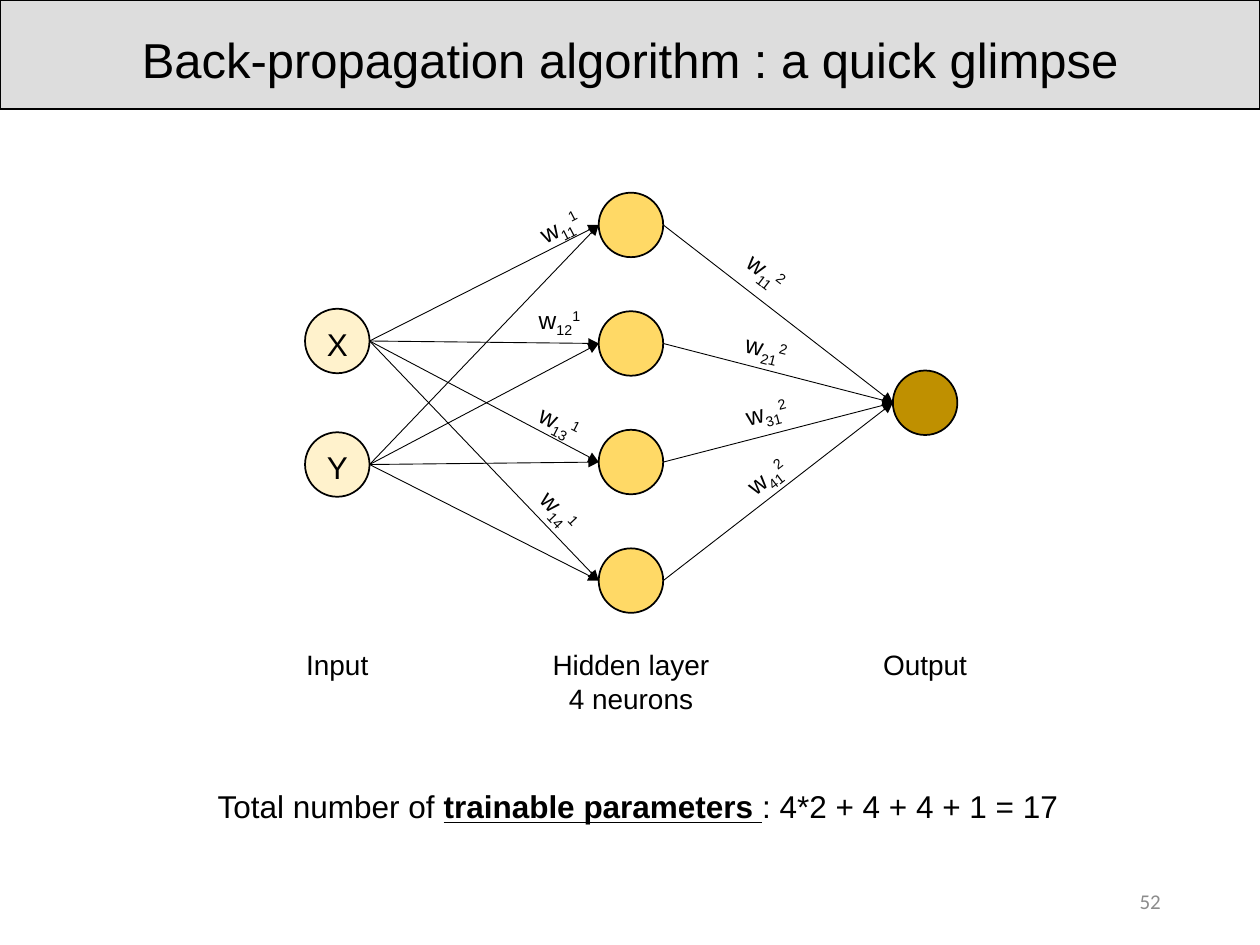
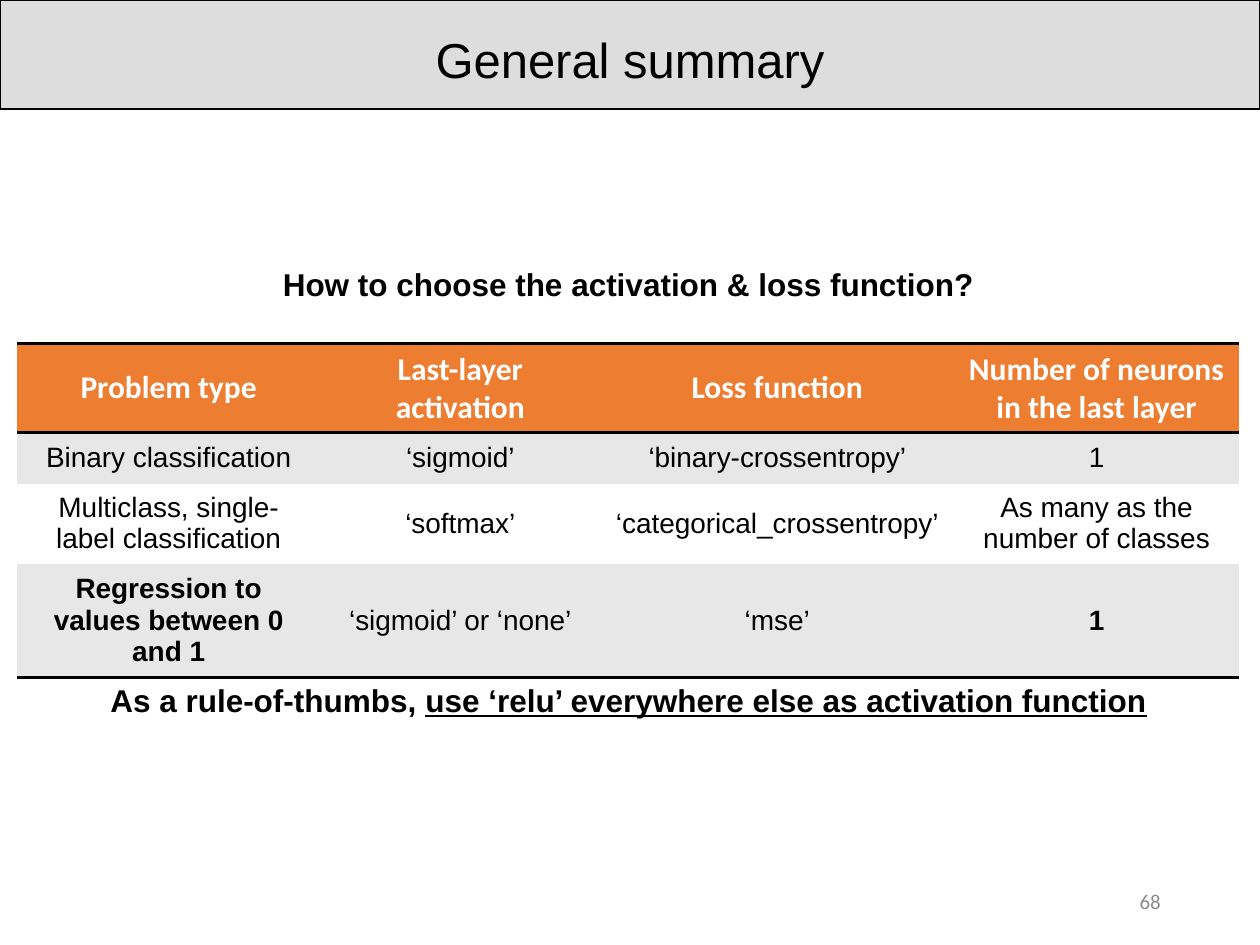
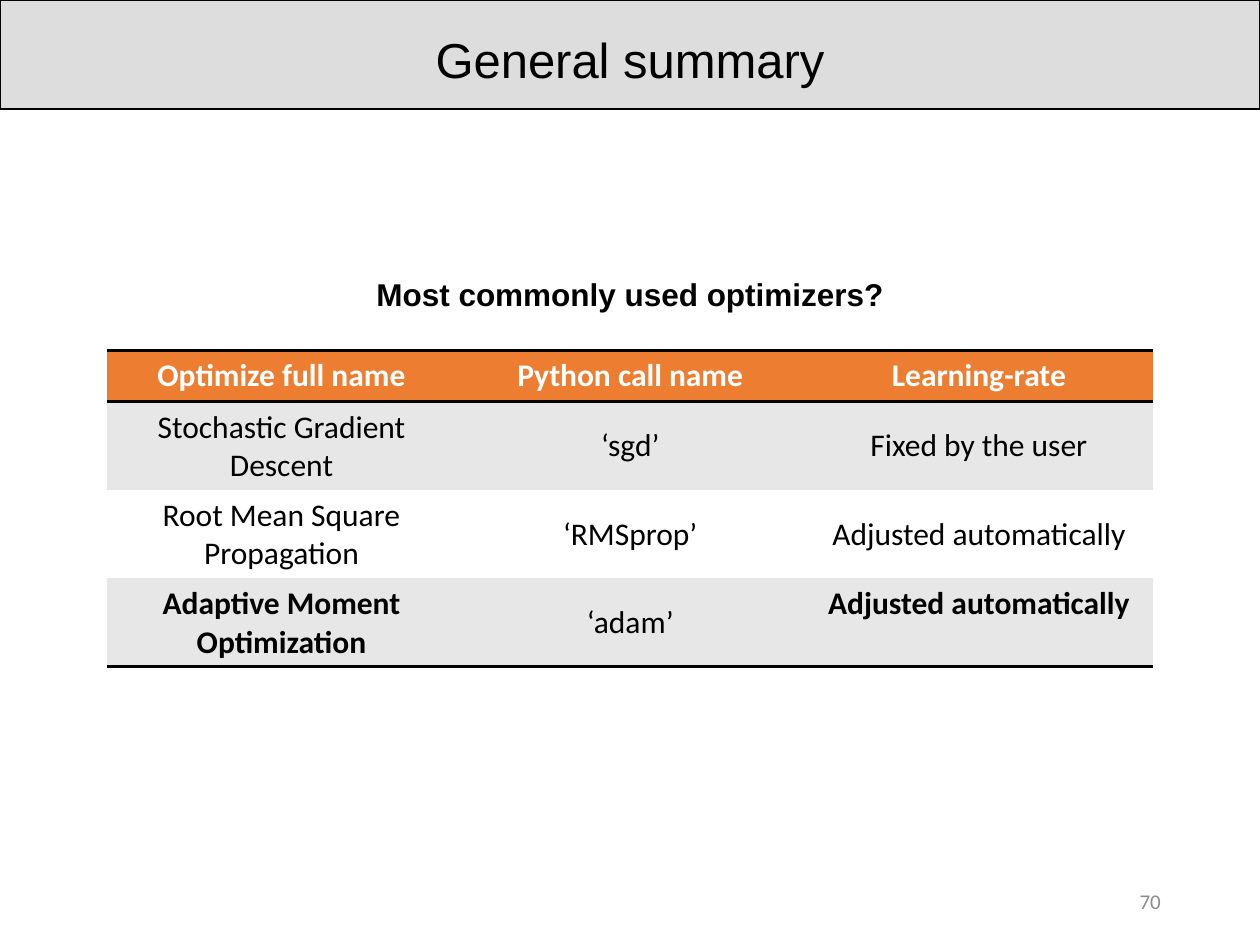
from dataclasses import dataclass
from itertools import product
from typing import NamedTuple

from lxml import etree
from pptx import Presentation
from pptx.dml.color import RGBColor
from pptx.enum.shapes import MSO_CONNECTOR, MSO_SHAPE
from pptx.enum.text import MSO_ANCHOR, PP_ALIGN
from pptx.oxml import parse_xml
from pptx.oxml.ns import nsdecls, qn
from pptx.util import Cm, Pt

BLACK = RGBColor(0x00, 0x00, 0x00)
WHITE = RGBColor(0xFF, 0xFF, 0xFF)
GREY = RGBColor(0x8C, 0x8C, 0x8C)
BAND = RGBColor(0xDD, 0xDD, 0xDD)
ORANGE = RGBColor(0xED, 0x7D, 0x31)
STRIPE = RGBColor(0xE7, 0xE7, 0xE7)
CREAM = RGBColor(0xFF, 0xF2, 0xCC)
YELLOW = RGBColor(0xFF, 0xD9, 0x66)
BROWN = RGBColor(0xBF, 0x90, 0x00)

LEFT, CENTER, RIGHT = PP_ALIGN.LEFT, PP_ALIGN.CENTER, PP_ALIGN.RIGHT
TOP, MIDDLE = MSO_ANCHOR.TOP, MSO_ANCHOR.MIDDLE
RECT, OVAL = MSO_SHAPE.RECTANGLE, MSO_SHAPE.OVAL
STRAIGHT = MSO_CONNECTOR.STRAIGHT

WIDTH, HEIGHT = 25.4, 19.05
NODE = 1.3
MID = 8.12


class Box(NamedTuple):
    """A place on the slide, in centimetres."""
    x: float
    y: float
    w: float
    h: float


class Part(NamedTuple):
    """A stretch of text; base is its shift in thousandths of a percent."""
    text: str
    bold: bool = False
    under: bool = False
    base: int = 0


@dataclass
class Layer:
    title: str
    x: float
    gap: float
    color: RGBColor
    names: list[str]

    def spots(self) -> list[float]:
        """Heights of the node centres, spread evenly around MID."""
        half = (len(self.names) - 1) / 2
        return [MID + self.gap * (i - half) for i in range(len(self.names))]


class Weight(NamedTuple):
    sub: str
    sup: str
    x: float
    y: float
    turn: float


@dataclass
class Grid:
    x: float
    y: float
    cols: list[float]
    rows: list[float]
    cells: list[list[str]]
    font: str
    size: int
    top_end: bool = False


LAYERS = [
    Layer("Input", 6.8, 2.49, CREAM, ["X", "Y"]),
    Layer("Hidden layer\n4 neurons", 12.72, 2.39, YELLOW, [""] * 4),
    Layer("Output", 18.65, 0, BROWN, [""]),
]

WEIGHTS = [
    Weight("11", "1", 10.44, 4.14, -27.4),
    Weight("12", "1", 10.44, 6.02, 0),
    Weight("13", "1", 10.44, 8.08, 27),
    Weight("14", "1", 10.44, 9.86, 46.6),
    Weight("11", "2", 14.61, 5.05, 37.8),
    Weight("21", "2", 14.61, 6.6, 14),
    Weight("31", "2", 14.61, 7.87, -15),
    Weight("41", "2", 14.61, 9.17, -37.4),
]

LOSSES = Grid(
    0.35, 6.93, [6.1, 5.66, 7.12, 5.75], [1.78, 1.04, 1.61, 2.29],
    [
        ["Problem type", "Last-layer activation", "Loss function",
         "Number of neurons in the last layer"],
        ["Binary classification", "‘sigmoid’", "‘binary-crossentropy’", "1"],
        ["Multiclass, single-label classification", "‘softmax’",
         "‘categorical_crossentropy’", "As many as the number of classes"],
        ["Regression to values between 0 and 1", "‘sigmoid’ or ‘none’",
         "‘mse’", "1"],
    ],
    "Arial", 16)

METHODS = Grid(
    2.16, 7.06, [7.03] * 3, [1.04] + [1.78] * 3,
    [
        ["Optimize full name", "Python call name", "Learning-rate"],
        ["Stochastic Gradient Descent", "‘sgd’", "Fixed by the user"],
        ["Root Mean Square Propagation", "‘RMSprop’",
         "Adjusted automatically"],
        ["Adaptive Moment Optimization", "‘adam’", "Adjusted automatically"],
    ],
    "Calibri", 18, top_end=True)


def style(para, size: int, color=BLACK, font="Arial", align=CENTER) -> None:
    para.alignment = align
    for run in para.runs:
        run.font.size = Pt(size)
        run.font.name = font
        run.font.color.rgb = color


def write(slide, box: Box, parts: list[Part], size: int, color=BLACK,
          font="Arial", align=CENTER, anchor=TOP, wrap=True):
    shape = slide.shapes.add_textbox(*map(Cm, box))
    frame = shape.text_frame
    frame.word_wrap = wrap
    frame.vertical_anchor = anchor
    para = frame.paragraphs[0]
    for part in parts:
        run = para.add_run()
        run.text = part.text
        run.font.bold = part.bold
        run.font.underline = part.under
        if part.base:
            run.font._element.set("baseline", str(part.base))
    style(para, size, color, font, align)
    return shape


def add_form(slide, kind, box: Box, fill: RGBColor, width: float):
    shape = slide.shapes.add_shape(kind, *map(Cm, box))
    shape.shadow.inherit = False
    shape.fill.solid()
    shape.fill.fore_color.rgb = fill
    shape.line.color.rgb = BLACK
    shape.line.width = Pt(width)
    return shape


def add_page(deck, title: str, number: int):
    """Add a slide with the title band and its page number."""
    slide = deck.slides.add_slide(deck.slide_layouts[6])
    add_form(slide, RECT, Box(0, 0, WIDTH, 2.2), BAND, 1.5)
    write(slide, Box(0, 0.48, WIDTH, 1.4), [Part(title)], 28)
    write(slide, Box(17.93, 17.65, 5.72, 1.02), [Part(str(number))], 12,
          GREY, "Calibri", RIGHT, MIDDLE)
    return slide


def add_arrow(slide, x1: float, y1: float, x2: float, y2: float) -> None:
    arrow = slide.shapes.add_connector(STRAIGHT, *map(Cm, (x1, y1, x2, y2)))
    arrow.line.color.rgb = BLACK
    arrow.line.width = Pt(0.5)
    line = arrow.line._get_or_add_ln()
    etree.SubElement(line, qn("a:tailEnd"), type="triangle")
    etree.SubElement(arrow._element.spPr, qn("a:effectLst"))


def add_layer(slide, layer: Layer) -> None:
    for name, y in zip(layer.names, layer.spots()):
        box = Box(layer.x - NODE / 2, y - NODE / 2, NODE, NODE)
        frame = add_form(slide, OVAL, box, layer.color, 1).text_frame
        if name:
            frame.margin_left = frame.margin_right = 0
            frame.margin_bottom = 0
            frame.margin_top = Cm(0.1)
            frame.text = name
            style(frame.paragraphs[0], 18)
    caption = slide.shapes.add_textbox(
        *map(Cm, (layer.x - 3.23, 12.93, 6.46, 1.62))).text_frame
    caption.word_wrap = True
    caption.text = layer.title
    for para in caption.paragraphs:
        style(para, 16)


def add_net(slide) -> None:
    for left, right in zip(LAYERS, LAYERS[1:]):
        for y1, y2 in product(left.spots(), right.spots()):
            add_arrow(slide, left.x + NODE / 2, y1, right.x - NODE / 2, y2)
    for layer in LAYERS:
        add_layer(slide, layer)
    for item in WEIGHTS:
        parts = [Part("w"), Part(item.sub, base=-25000),
                 Part(item.sup, base=30000)]
        label = write(slide, Box(item.x, item.y, 1.68, 0.86), parts, 14)
        label.rotation = item.turn


def add_edge(cell, side: str, shown: bool) -> None:
    fill = (f'<a:solidFill><a:srgbClr val="{BLACK}"/></a:solidFill>'
            if shown else "<a:noFill/>")
    width = Pt(2) if shown else 0
    cell._tc.get_or_add_tcPr().append(parse_xml(
        f'<a:ln{side} {nsdecls("a")} w="{width}">{fill}</a:ln{side}>'))


def add_grid(slide, grid: Grid) -> None:
    """Draw a table with a coloured head, striped rows and ruled ends."""
    last, end = len(grid.rows) - 1, len(grid.cols) - 1
    size = (grid.x, grid.y, sum(grid.cols), sum(grid.rows))
    table = slide.shapes.add_table(last + 1, end + 1, *map(Cm, size)).table
    table.horz_banding = False
    for col, width in zip(table.columns, grid.cols):
        col.width = Cm(width)
    for row, height in zip(table.rows, grid.rows):
        row.height = Cm(height)
    for r, c in product(range(last + 1), range(end + 1)):
        cell, head = table.cell(r, c), r == 0
        for side, shown in (("L", False), ("R", False),
                            ("T", r <= 1), ("B", r in (0, last))):
            add_edge(cell, side, shown)
        cell.fill.solid()
        cell.fill.fore_color.rgb = (
            ORANGE if head else STRIPE if r % 2 else WHITE)
        lifted = grid.top_end and (r, c) == (last, end)
        cell.vertical_anchor = TOP if lifted else MIDDLE
        cell.text = grid.cells[r][c]
        para = cell.text_frame.paragraphs[0]
        if head:
            style(para, 18, WHITE, "Calibri")
        else:
            style(para, grid.size, BLACK, grid.font)
        para.runs[0].font.bold = head or (r == last and c in (0, end))


def main() -> None:
    deck = Presentation()
    deck.slide_width, deck.slide_height = Cm(WIDTH), Cm(HEIGHT)

    net = add_page(deck, "Back-propagation algorithm : a quick glimpse", 52)
    add_net(net)
    write(net, Box(4.14, 15.75, 17.6, 1.02),
          [Part("Total number of "),
           Part("trainable parameters ", bold=True, under=True),
           Part(": 4*2 + 4 + 4 + 1 = 17")], 18, align=LEFT, wrap=False)

    loss = add_page(deck, "General summary", 68)
    write(loss, Box(0.35, 5.21, 24.64, 1.02),
          [Part("How to choose the activation & loss function?", bold=True)],
          18)
    add_grid(loss, LOSSES)
    write(loss, Box(0.35, 13.6, 24.64, 1.02),
          [Part("As a rule-of-thumbs, ", bold=True),
           Part("use ‘relu’ everywhere else as activation function",
                bold=True, under=True)], 18)

    method = add_page(deck, "General summary", 70)
    write(method, Box(3.33, 5.41, 18.75, 1.02),
          [Part("Most commonly used optimizers?", bold=True)], 18)
    add_grid(method, METHODS)

    deck.save("out.pptx")


if __name__ == "__main__":
    main()
